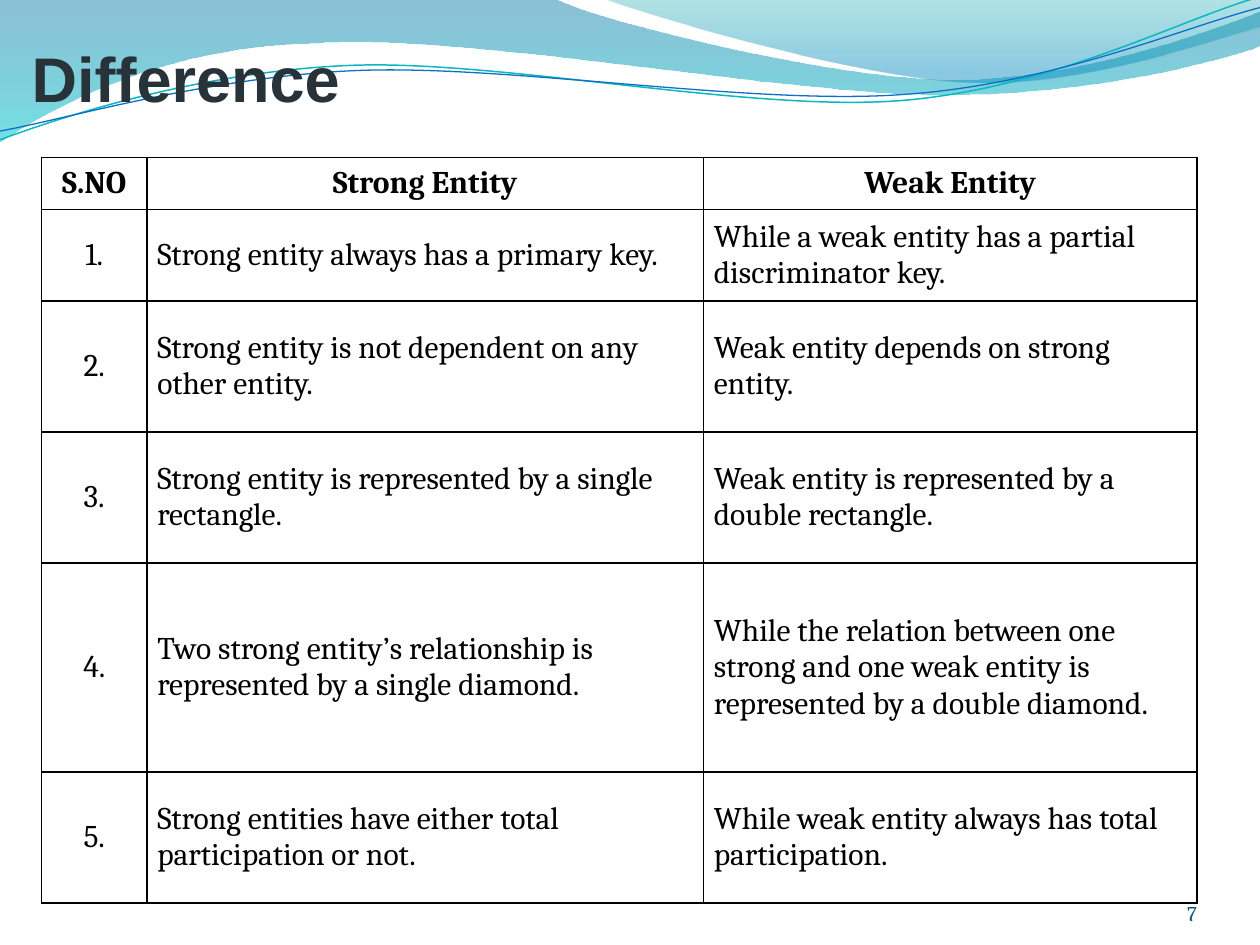
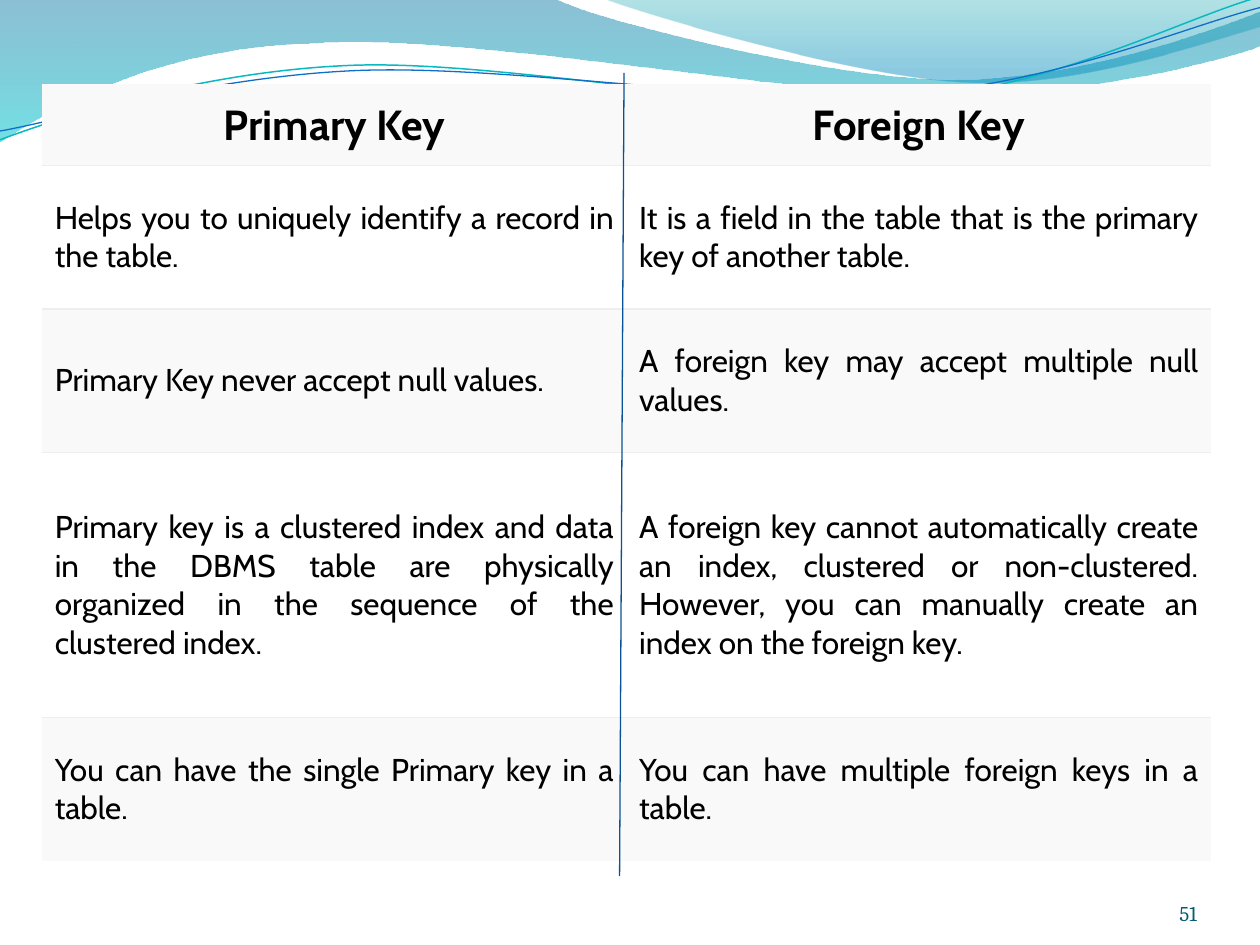
"""Build two comparison slides on a shared wave background."""
import math
import pptx
import pptx.util
import pptx.dml.color
import pptx.enum.shapes
import pptx.enum.text
import pptx.oxml
import pptx.oxml.ns

Cm, Pt = pptx.util.Cm, pptx.util.Pt
RGBColor = pptx.dml.color.RGBColor
ALIGN = pptx.enum.text.PP_ALIGN
ANCHOR = pptx.enum.text.MSO_ANCHOR
NS_A = pptx.oxml.ns.nsdecls("a")

BLACK = RGBColor(0x00, 0x00, 0x00)
WHITE = RGBColor(0xFF, 0xFF, 0xFF)
SLATE = RGBColor(0x27, 0x32, 0x39)
PAGE_TEAL = RGBColor(0x04, 0x5D, 0x75)
DIVIDER_BLUE = RGBColor(0x09, 0x52, 0x95)
BAND_GREY = RGBColor(0xF9, 0xF9, 0xF9)
RULE_GREY = RGBColor(0xEE, 0xEE, 0xEE)
DEEP_BLUE = RGBColor(0x00, 0x74, 0xA1)
AQUA = RGBColor(0x00, 0xC6, 0xCF)
TEAL = RGBColor(0x00, 0xA1, 0xA9)
SKY = RGBColor(0x00, 0x8B, 0xBF)
LINE_AQUA = RGBColor(0x0A, 0xB8, 0xBF)
LINE_BLUE = RGBColor(0x0F, 0x6F, 0xC6)

PLAIN_TABLE = "{2D5ABB26-0587-4C30-8999-92F81FD0307C}"
WAVE_UNIT = Cm(2.54)
LINE_TILT = 357.3

# Each path step is a point (two numbers) or a Bezier curve (six numbers).
WAVES = [
    dict(box=(-0.01, -0.01, 10.02, 1.14),
         path=[(0, 0), (4.4, -0.01), (4.76, 0.17, 6.64, 0.63, 7.58, 0.63),
               (8.53, 0.63, 9.58, 0.26, 10, 0.09), (10.01, 0.36),
               (9.83, 0.44, 8.7, 0.76, 7.46, 0.75), (6.22, 0.75, 3.82, 0.28, 2.57, 0.34),
               (1.29, 0.36, 0.46, 0.83, -0.01, 1.13), (0, 0)],
         stops=[(0, DEEP_BLUE, 45), (1, AQUA, 55)]),
    dict(box=(4.79, -0.01, 5.21, 0.7),
         path=[(4.79, -0.01), (5.09, 0.11, 6.82, 0.62, 7.69, 0.65),
               (8.56, 0.69, 9.61, 0.32, 10, 0.21), (10, 0), (4.79, -0.01)],
         stops=[(0, TEAL, 30), (0.8, SKY, 45)]),
    dict(box=(-0.02, 0.22, 10.02, 0.71),
         path=[(0, 1.11), (0.48, 0.93, 1.58, 0.57, 2.77, 0.52),
               (3.95, 0.47, 5.93, 0.89, 7.13, 0.8), (8.33, 0.71, 9.38, 0.15, 9.98, -0.02)],
         line=(LINE_AQUA, 0.85)),
    dict(box=(-0.02, 0.3, 10.03, 0.58),
         path=[(0, 1.04), (0.47, 0.96, 1.64, 0.61, 2.83, 0.56),
               (4.03, 0.51, 5.97, 0.84, 7.17, 0.75), (8.36, 0.67, 9.41, 0.21, 10, 0.06)],
         line=(LINE_BLUE, 0.75)),
]

ENTITY_ROWS = [
    ("S.NO", "Strong Entity", "Weak Entity"),
    ("1.", "Strong entity always has a primary key.",
     "While a weak entity has a partial discriminator key."),
    ("2.", "Strong entity is not dependent on any other entity.",
     "Weak entity depends on strong entity."),
    ("3.", "Strong entity is represented by a single rectangle.",
     "Weak entity is represented by a double rectangle."),
    ("4.", "Two strong entity’s relationship is represented by a single diamond.",
     "While the relation between one strong and one weak entity is represented "
     "by a double diamond."),
    ("5.", "Strong entities have either total participation or not.",
     "While weak entity always has total participation."),
]
KEY_ROWS = [
    ("Primary Key", "Foreign Key"),
    ("Helps you to uniquely identify a record in the table.",
     "It is a field in the table that is the primary key of another table."),
    ("Primary Key never accept null values.",
     "A foreign key may accept multiple null values."),
    ("Primary key is a clustered index and data in the DBMS table are physically "
     "organized in the sequence of the clustered index.",
     "A foreign key cannot automatically create an index, clustered or non-clustered. "
     "However, you can manually create an index on the foreign key."),
    ("You can have the single Primary key in a table.",
     "You can have multiple foreign keys in a table."),
]


def write(tf, text, font="Cambria", size=18, color=BLACK, bold=False, align=ALIGN.LEFT):
    """Put one formatted paragraph into a text frame."""
    p = tf.paragraphs[0]
    p.alignment = align
    r = p.add_run()
    r.text = text
    r.font.name, r.font.size, r.font.bold = font, Pt(size), bold
    r.font.color.rgb = color


def set_insets(target, x, y):
    """Set the inner margins of a cell or text frame."""
    target.margin_left = target.margin_right = x
    target.margin_top = target.margin_bottom = y


def place_in_box(x, y, box, rotation):
    """Return a slide point relative to a box before the box is rotated."""
    left, top, width, height = box
    dx, dy = x - left - width / 2, y - top - height / 2
    a = math.radians(-rotation)
    return (round((dx * math.cos(a) - dy * math.sin(a) + width / 2) * WAVE_UNIT),
            round((dx * math.sin(a) + dy * math.cos(a) + height / 2) * WAVE_UNIT))


def path_xml(steps, box, rotation, closed):
    """Describe an outline of straight steps and Bezier curves."""
    parts = []
    for i, step in enumerate(steps):
        tag = "moveTo" if i == 0 else "lnTo" if len(step) == 2 else "cubicBezTo"
        points = [place_in_box(x, y, box, rotation) for x, y in zip(step[::2], step[1::2])]
        inner = "".join(f'<a:pt x="{x}" y="{y}"/>' for x, y in points)
        parts.append(f"<a:{tag}>{inner}</a:{tag}>")
    width, height = (round(v * WAVE_UNIT) for v in box[2:])
    end = "<a:close/>" if closed else ""
    return f'<a:path {NS_A} w="{width}" h="{height}">{"".join(parts)}{end}</a:path>'


def fill_gradient(sp, stops):
    """Fill a shape from top to bottom with translucent colours."""
    sp.fill.gradient()
    sp.fill.gradient_angle = 270
    for stop, (position, color, _) in zip(sp.fill.gradient_stops, stops):
        stop.position = position
        stop.color.rgb = color
    for clr, (_, _, opacity) in zip(sp.element.xpath(".//a:gs/a:srgbClr"), stops):
        clr.append(pptx.oxml.parse_xml(f'<a:alpha {NS_A} val="{opacity * 1000}"/>'))


def add_wave(sl, box, path, stops=None, line=None):
    """Draw one curved band or line and return its shape."""
    rotation = LINE_TILT if line else 0
    builder = sl.shapes.build_freeform(0, 0)
    builder.add_line_segments([(WAVE_UNIT, WAVE_UNIT)], close=False)
    sp = builder.convert_to_shape()
    sp.left, sp.top, sp.width, sp.height = (round(v * WAVE_UNIT) for v in box)
    sp.rotation = rotation
    outline = sp.element.xpath(".//a:path")[0]
    outline.getparent().replace(
        outline, pptx.oxml.parse_xml(path_xml(path, box, rotation, closed=not line)))
    sp.shadow.inherit = False
    if stops:
        fill_gradient(sp, stops)
        sp.line.fill.background()
    else:
        color, width = line
        sp.fill.background()
        sp.line.color.rgb, sp.line.width = color, Pt(width)
    return sp


def add_waves(sl, master):
    """Draw the waves and place them at the back of the slide master."""
    for i, wave in enumerate(WAVES):
        sp = add_wave(sl, **wave)
        sp.name = f"Wave {i + 1}"
        sp.element.xpath(".//p:cNvPr")[0].set("id", str(100 + i))
        master.shapes.element.insert(2 + i, sp.element)


def add_title(sl, text, box):
    """Place and fill the title placeholder."""
    sp = sl.shapes.title
    sp.left, sp.top, sp.width, sp.height = box
    tf = sp.text_frame
    set_insets(tf, 0, 0)
    tf.margin_top = Cm(0.13)
    tf.vertical_anchor = ANCHOR.BOTTOM
    write(tf, text, font="Arial", size=36, color=SLATE, bold=True)


def add_page_number(sl, number):
    """Write the page number at the lower right."""
    tf = sl.shapes.add_textbox(Cm(22.01), Cm(17.66), Cm(2.12), Cm(1.01)).text_frame
    tf.word_wrap = True
    set_insets(tf, 0, 0)
    tf.vertical_anchor = ANCHOR.BOTTOM
    write(tf, str(number), size=12, color=PAGE_TEAL, align=ALIGN.RIGHT)


def add_borders(cell, sides, color, width):
    """Draw the named sides (L, R, T, B) of a cell."""
    for side in sides:
        cell._tc.get_or_add_tcPr().append(pptx.oxml.parse_xml(
            f'<a:ln{side} {NS_A} w="{Pt(width)}"><a:solidFill>'
            f'<a:srgbClr val="{color}"/></a:solidFill></a:ln{side}>'))


def add_grid(sl, rows, left, top, widths, heights, style_cell):
    """Add a plain table and let style_cell finish each cell."""
    table = sl.shapes.add_table(len(rows), len(widths), left, top,
                                sum(widths), sum(heights)).table
    table._tbl.xpath(".//a:tableStyleId")[0].text = PLAIN_TABLE
    table.first_row = table.horz_banding = False
    for column, width in zip(table.columns, widths):
        column.width = width
    for i, (row, height) in enumerate(zip(rows, heights)):
        table.rows[i].height = height
        for j, text in enumerate(row):
            cell = table.cell(i, j)
            cell.vertical_anchor = ANCHOR.MIDDLE
            style_cell(cell, text, i, j)


def style_entity_cell(cell, text, i, j):
    """Format a cell of the ruled entity table."""
    set_insets(cell, Cm(0.21), Cm(0.1))
    add_borders(cell, "LRTB", BLACK, 1)
    cell.fill.background()
    centred = i == 0 or j == 0
    write(cell.text_frame, text, bold=i == 0,
          align=ALIGN.CENTER if centred else ALIGN.LEFT)


def style_key_cell(cell, text, i, j):
    """Format a cell of the banded key table."""
    sides = ("T" if i > 0 else "") + ("B" if i < len(KEY_ROWS) - 1 else "")
    add_borders(cell, sides, RULE_GREY, 0.75)
    cell.fill.solid()
    cell.fill.fore_color.rgb = WHITE if i % 2 else BAND_GREY
    header = i == 0
    write(cell.text_frame, text, font="Cabin", size=24 if header else 18, bold=header,
          align=ALIGN.CENTER if header else ALIGN.JUSTIFY)


def add_divider(sl, x1, y1, x2, y2):
    """Draw the line between the two key columns."""
    line = sl.shapes.add_connector(pptx.enum.shapes.MSO_CONNECTOR.STRAIGHT, x1, y1, x2, y2)
    line.line.color.rgb, line.line.width = DIVIDER_BLUE, Pt(0.75)
    line.element.spPr.append(pptx.oxml.parse_xml(f"<a:effectLst {NS_A}/>"))


def build_entity_slide(sl):
    """Compare strong and weak entities."""
    add_title(sl, "Difference", (Cm(0.64), Cm(0.63), Cm(9.53), Cm(1.69)))
    add_grid(sl, ENTITY_ROWS, Cm(0.84), Cm(3.17),
             [Cm(w) for w in (2.12, 11.22, 9.95)],
             [Cm(h) for h in (1.05, 1.85, 2.64, 2.64, 4.21, 2.64)], style_entity_cell)
    add_page_number(sl, 7)


def build_key_slide(sl):
    """Compare primary and foreign keys."""
    add_page_number(sl, 51)
    add_grid(sl, KEY_ROWS, Cm(0.85), Cm(1.7), [Cm(11.78)] * 2,
             [Cm(h) for h in (1.64, 2.89, 2.89, 5.35, 2.89)], style_key_cell)
    add_divider(sl, Cm(12.58), Cm(1.47), Cm(12.49), Cm(17.66))


def main():
    """Build and save the presentation."""
    prs = pptx.Presentation()
    prs.slide_width, prs.slide_height = Cm(25.4), Cm(19.05)
    title_only, blank = prs.slide_layouts[5], prs.slide_layouts[6]
    entity_slide = prs.slides.add_slide(title_only)
    add_waves(entity_slide, prs.slide_master)
    build_entity_slide(entity_slide)
    build_key_slide(prs.slides.add_slide(blank))
    prs.save("out.pptx")


if __name__ == "__main__":
    main()
